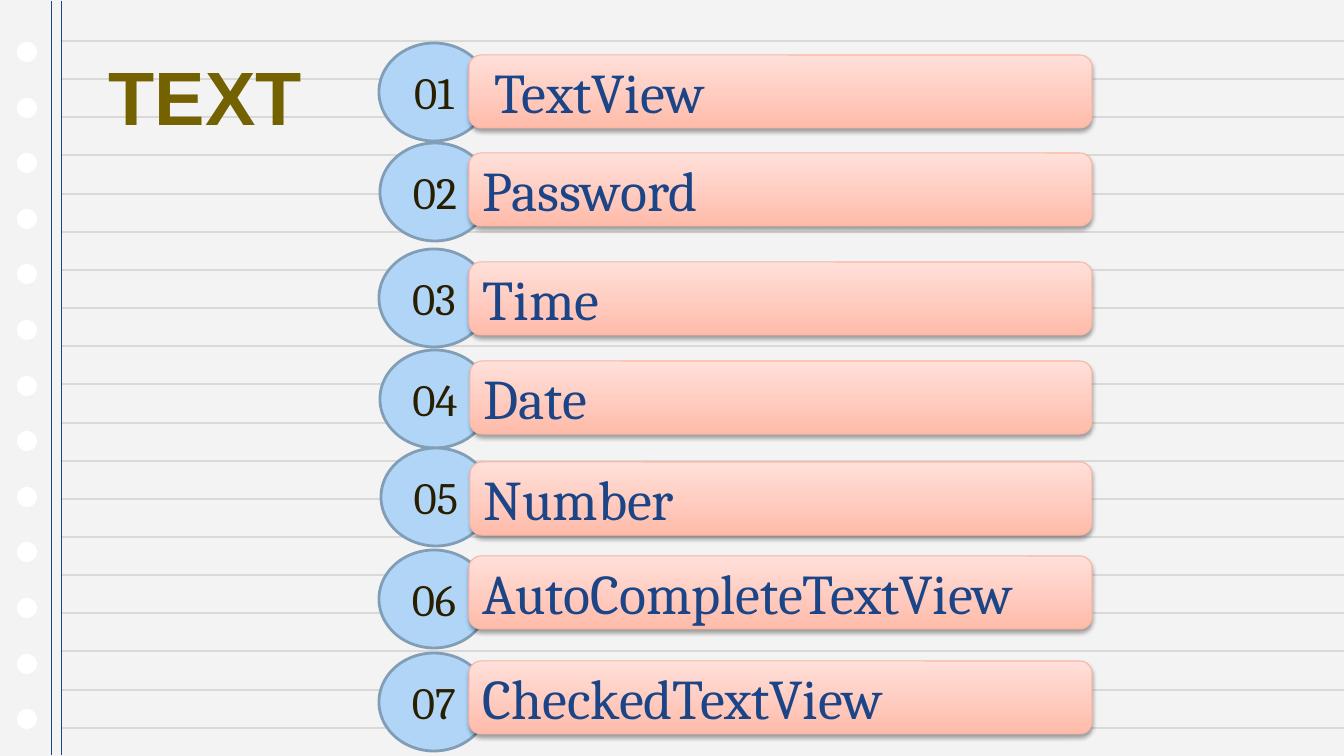
from lxml import etree
from pptx import Presentation
from pptx.dml.color import RGBColor
from pptx.enum.shapes import MSO_CONNECTOR, MSO_SHAPE
from pptx.enum.text import MSO_ANCHOR, PP_ALIGN
from pptx.oxml import parse_xml
from pptx.oxml.ns import qn
from pptx.util import Pt

OVAL, BAR = MSO_SHAPE.OVAL, MSO_SHAPE.ROUNDED_RECTANGLE
LINE = MSO_CONNECTOR.STRAIGHT
TOP, MIDDLE = MSO_ANCHOR.TOP, MSO_ANCHOR.MIDDLE
LEFT, CENTER = PP_ALIGN.LEFT, PP_ALIGN.CENTER
W, H = 1344, 756
PX = 12192000 / W

HEX = {
    "paper": "F3F3F3", "hole": "FFFFFF", "rule": "D9D9D9", "margin": "1C4587",
    "disc": "B0D5F7", "ring": "829EB7", "digit": "291E00",
    "low": "FFBBAA", "high": "FFE0DA", "edge": "FBB6A4",
    "label": "1C4587", "title": "746200",
}
RGB = {name: RGBColor.from_string(code) for name, code in HEX.items()}

SHADOW = (
    '<a:effectLst xmlns:a="http://schemas.openxmlformats.org/drawingml/2006/main">'
    '<a:outerShdw blurRad="40000" dist="23000" dir="5400000" rotWithShape="0">'
    '<a:srgbClr val="000000"><a:alpha val="35000"/></a:srgbClr>'
    '</a:outerShdw></a:effectLst>'
)


def box(*lengths):
    return [round(n * PX) for n in lengths]


def write(shape, text, size, color, font="Cambria", bold=False, align=LEFT, anchor=MIDDLE):
    frame = shape.text_frame
    frame.word_wrap = True
    frame.vertical_anchor = anchor
    para = frame.paragraphs[0]
    para.alignment = align
    run = para.add_run()
    run.text = text
    run.font.name = font
    run.font.size = Pt(size)
    run.font.bold = bold
    run.font.color.rgb = RGB[color]


prs = Presentation()
prs.slide_width, prs.slide_height = box(W, H)
slide = prs.slides.add_slide(prs.slide_layouts[6])
shapes = slide.shapes
slide.background.fill.solid()
slide.background.fill.fore_color.rgb = RGB["paper"]

for i in range(13):
    hole = shapes.add_shape(OVAL, *box(17, 42 + round(55.6 * i), 20, 20))
    hole.shadow.inherit = False
    hole.fill.solid()
    hole.fill.fore_color.rgb = RGB["hole"]
    hole.line.fill.background()

lines = []
for i in range(19):
    y = 41 + round(38.15 * i)
    lines.append((W, y, 61, y, "rule", 0.86))
for x in (51, 61):
    lines.append((x, 1, x, H - 1, "margin", 0.62))

for *ends, color, width in lines:
    line = shapes.add_connector(LINE, *box(*ends))
    line.line.color.rgb = RGB[color]
    line.line.width = Pt(width)
    etree.SubElement(line._element.spPr, qn("a:effectLst"))

rows = [
    (379, 43, 469, 55, " TextView"),
    (380, 143, 469, 153, "Password"),
    (379, 249, 469, 262, "Time"),
    (380, 350, 470, 361, "Date"),
    (381, 448, 470, 462, "Number"),
    (379, 550, 469, 556, "AutoCompleteTextView"),
    (379, 653, 469, 661, "CheckedTextView"),
]
for n, (left, top, start, y, label) in enumerate(rows, 1):
    disc = shapes.add_shape(OVAL, *box(left, top, 110, 98))
    disc.shadow.inherit = False
    disc.fill.solid()
    disc.fill.fore_color.rgb = RGB["disc"]
    disc.line.color.rgb = RGB["ring"]
    disc.line.width = Pt(2)
    write(disc, f"{n:02}", 32, "digit", align=CENTER)

    bar = shapes.add_shape(BAR, *box(start, y, 1092 - start, 73))
    bar.fill.gradient()
    bar.fill.gradient_angle = 90
    for stop, color in zip(bar.fill.gradient_stops, ("low", "high")):
        stop.color.rgb = RGB[color]
    bar.line.color.rgb = RGB["edge"]
    bar.line.width = Pt(0.75)
    bar._element.spPr.append(parse_xml(SHADOW))
    write(bar, label, 40, "label")

title = shapes.add_textbox(*box(96, 45, 219, 102))
write(title, "TEXT", 54, "title", font="Arial", bold=True, align=CENTER, anchor=TOP)

prs.save("out.pptx")
